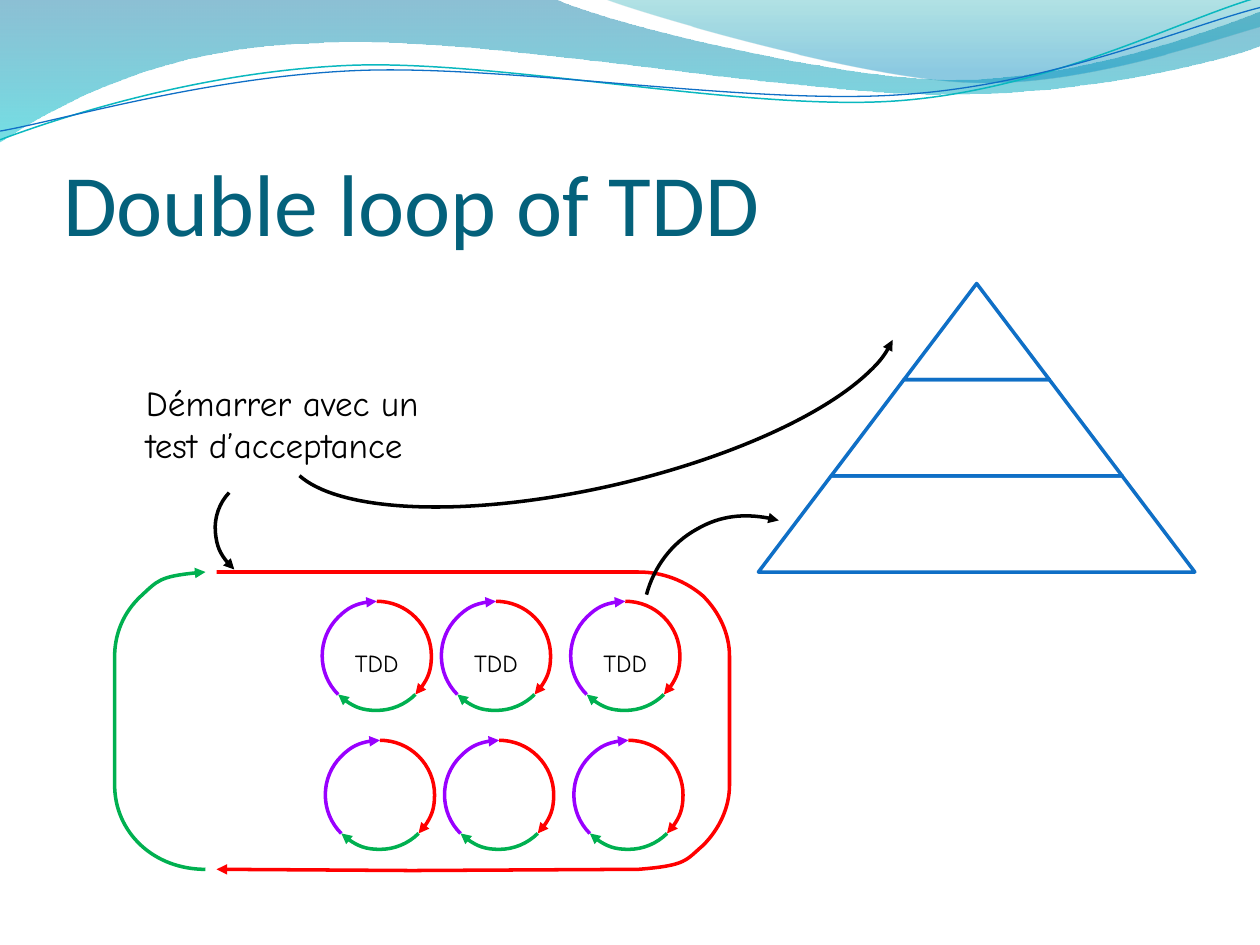
from math import cos, radians, sin, tan

from lxml import etree
from pptx import Presentation
from pptx.dml.color import RGBColor
from pptx.enum.shapes import MSO_SHAPE
from pptx.enum.text import MSO_ANCHOR, PP_ALIGN
from pptx.oxml.ns import qn
from pptx.util import Pt

ARC, TRAPEZOID = MSO_SHAPE.ARC, MSO_SHAPE.TRAPEZOID
BOTTOM, LEFT, CENTER = MSO_ANCHOR.BOTTOM, PP_ALIGN.LEFT, PP_ALIGN.CENTER

RED = RGBColor(0xFF, 0x00, 0x00)
GREEN = RGBColor(0x00, 0xB0, 0x50)
PURPLE = RGBColor(0x99, 0x00, 0xFF)
BLACK = RGBColor(0x00, 0x00, 0x00)
BLUE = RGBColor(0x0F, 0x6F, 0xC6)
TEAL = RGBColor(0x0A, 0xB8, 0xBF)
TITLE_BLUE = RGBColor(0x04, 0x61, 0x7B)
DEEP_BLUE = RGBColor(0x00, 0x74, 0xA1)
AQUA = RGBColor(0x00, 0xC6, 0xCF)
SEA_GREEN = RGBColor(0x00, 0xA1, 0xA9)
SKY_BLUE = RGBColor(0x00, 0x8B, 0xBF)

STROKE = 2


def add_outline(slide, left, top, steps, close=False):
    """Draw steps: (x, y) is a line, six numbers are a Bézier curve."""
    corners = [(Pt(left + x), Pt(top + y))
               for step in steps for x, y in zip(step[::2], step[1::2])]
    builder = slide.shapes.build_freeform(*corners[0], scale=1.0)
    builder.add_line_segments(corners[1:], close=close)
    outline = builder.convert_to_shape()
    outline.shadow.inherit = False
    # Join the three lines of each curve step into one Bézier segment
    lines = iter(list(outline.element.iter(qn("a:lnTo"))))
    for step in steps[1:]:
        segment = [next(lines) for _ in range(len(step) // 2)]
        if len(segment) == 3:
            curve = etree.Element(qn("a:cubicBezTo"))
            segment[0].addprevious(curve)
            for line in segment:
                curve.append(line[0])
                line.getparent().remove(line)
    return outline


def style_line(shape, color, width=STROKE, arrow=False):
    shape.fill.background()
    shape.line.color.rgb = color
    shape.line.width = Pt(width)
    if arrow:
        tail = etree.SubElement(shape.element.spPr.find(qn("a:ln")), qn("a:tailEnd"))
        tail.set("type", "triangle")


def add_curve(slide, left, top, steps, color, width=STROKE, arrow=True):
    style_line(add_outline(slide, left, top, steps), color, width, arrow)


def add_label(slide, left, top, width, height, text, size, align=LEFT):
    frame = slide.shapes.add_textbox(
        Pt(left), Pt(top), Pt(width), Pt(height)).text_frame
    frame.word_wrap = True
    frame.text = text
    paragraph = frame.paragraphs[0]
    paragraph.alignment = align
    font = paragraph.runs[0].font
    font.name, font.size, font.color.rgb = "Comic Neue", Pt(size), BLACK


def add_wave(slide, left, top, steps, stops):
    wave = add_outline(slide, left, top, steps, close=True)
    wave.line.fill.background()
    wave.fill.gradient()
    wave.fill.gradient_angle = 270
    for stop, (position, color, _) in zip(wave.fill.gradient_stops, stops):
        stop.position = position
        stop.color.rgb = color
    for rgb, (_, _, opacity) in zip(wave.element.iter(qn("a:srgbClr")), stops):
        etree.SubElement(rgb, qn("a:alpha")).set("val", str(opacity * 1000))


def add_header(slide, left, top):
    # Translucent waves
    add_wave(slide, left, top, [
        (0, 0), (316.8, -0.7),
        (342.7, 12.2, 478.1, 45.4, 545.8, 45.4),
        (614.2, 45.4, 689.8, 18.7, 720, 6.5), (720.7, 25.9),
        (707.8, 31.7, 626.4, 54.7, 537.1, 54),
        (447.8, 54, 275, 20.2, 185, 24.5),
        (92.2, 25.9, 33.1, 59.8, -0.7, 81.4),
    ], [(0, DEEP_BLUE, 45), (1, AQUA, 55)])
    add_wave(slide, left, top, [
        (344.9, -0.7),
        (366.5, 7.9, 491, 44.6, 553.7, 46.8),
        (616.3, 49.7, 691.9, 23, 720, 15.1), (720, 0),
    ], [(0, SEA_GREEN, 30), (0.8, SKY_BLUE, 45)])
    # Thin lines below the waves
    add_curve(slide, left, top, [
        (0, 79.9), (34.6, 67, 113.8, 41, 199.4, 37.4),
        (284.4, 33.8, 427, 64.1, 513.4, 57.6),
        (599.8, 51.1, 675.4, 10.8, 718.6, -1.4),
    ], TEAL, 0.85, arrow=False)
    add_curve(slide, left, top, [
        (0, 74.9), (33.8, 69.1, 118.1, 43.9, 203.8, 40.3),
        (290.2, 36.7, 429.8, 60.5, 516.2, 54),
        (601.9, 48.2, 677.5, 15.1, 720, 4.3),
    ], BLUE, 0.75, arrow=False)


def fill_title(slide, left, top, width, height):
    title = slide.shapes.title
    title.left, title.top = Pt(left), Pt(top)
    title.width, title.height = Pt(width), Pt(height)
    frame = title.text_frame
    frame.text = "Double loop of TDD"
    frame.vertical_anchor = BOTTOM
    frame.margin_left = frame.margin_right = frame.margin_bottom = 0
    frame.margin_top = Pt(3.6)
    paragraph = frame.paragraphs[0]
    paragraph.alignment = LEFT
    font = paragraph.runs[0].font
    font.name, font.size, font.color.rgb = "Calibri", Pt(50), TITLE_BLUE


def add_outer_loop(slide, left, top):
    add_curve(slide, left, top, [
        (58.3, 0), (299.5, 0),
        (313.2, 0, 326.2, 5, 336.3, 13.7),
        (345.6, 23, 351.4, 35.3, 351.4, 48.2), (351.4, 121.7),
        (351.4, 134.6, 345.6, 146.9, 336.3, 156.2),
        (326.2, 164.9, 326.9, 167.7, 299.5, 169.9),
        (169.9, 170.6), (58.3, 169.9),
    ], RED)
    add_curve(slide, left, top, [
        (51.9, 169.9), (37.5, 169.9, 24.5, 164.9, 15.1, 156.2),
        (5.1, 146.9, 0, 134.6, 0, 121.7), (0, 48.2),
        (0, 35.3, 5.1, 23, 15.1, 13.7),
        (24.5, 5, 25.9, 2.1, 51.9, 0),
    ], GREEN)


def circle_steps(radius, start, end, sweep=45):
    """Bézier steps along a circle, clockwise, one for each sweep of degrees."""
    def point(angle, pull=0):
        c, s = cos(radians(angle)), sin(radians(angle))
        return radius * (1 + c - pull * s), radius * (1 + s + pull * c)

    pull = 4 / 3 * tan(radians(sweep / 4))
    return [point(start)] + [
        point(angle, pull) + point(angle + sweep, -pull) + point(angle + sweep)
        for angle in range(start, end, sweep)]


def add_tdd_cycle(slide, left, top, size, text=None):
    for color, start, end in ((RED, -90, 45), (PURPLE, 135, 270), (GREEN, 45, 135)):
        add_curve(slide, left, top, circle_steps(size / 2, start, end), color)
    if text:
        add_label(slide, left + size / 2 - 25.6, top + 22.9, 51.2, 24.5,
                  text, 14, CENTER)


def add_pyramid(slide, left, top, width, height, tiers=3):
    tier_height, step = height / tiers, width / tiers
    for tier in range(tiers):
        tier_width = step * (tier + 1)
        level = slide.shapes.add_shape(
            TRAPEZOID, Pt(left + (width - tier_width) / 2),
            Pt(top + tier * tier_height), Pt(tier_width), Pt(tier_height))
        level.adjustments[0] = step / 2 / tier_height
        level.shadow.inherit = False
        style_line(level, BLUE)


def add_acceptance_arc(slide, left, top, width, height):
    arc = slide.shapes.add_shape(ARC, Pt(left), Pt(top), Pt(width), Pt(height))
    arc.adjustments[0], arc.adjustments[1] = 110.64, 213.35
    arc.rotation = 347.1
    arc.element.spPr.find(qn("a:xfrm")).set("flipV", "1")
    arc.shadow.inherit = False
    style_line(arc, BLACK, arrow=True)


def main():
    deck = Presentation()
    deck.slide_width, deck.slide_height = Pt(720), Pt(540)
    slide = deck.slides.add_slide(deck.slide_layouts[5])

    add_header(slide, 0, 0)
    fill_title(slide, 36, 55.4, 648, 90)
    add_outer_loop(slide, 65.5, 326.9)

    # Two rows of inner cycles, the lower one shifted and unlabelled
    for top, shift, text in ((343.6, 0, "TDD"), (423, 1.8, None)):
        for left in (184.1, 252.2, 326.1):
            add_tdd_cycle(slide, left + shift, top, 62.4, text)

    add_label(slide, 76.3, 214.6, 193, 55.4,
              "Démarrer avec un test d’acceptance", 20)
    add_pyramid(slide, 433.4, 162, 249.4, 164.9)

    # Arrows from the note to the loop and the pyramid, and from a cycle
    add_curve(slide, 123, 281.5, [
        (8, 0), (2.3, 5.8, -0.6, 14.4, 0.1, 22.3),
        (0.8, 31, 4.4, 38.2, 10.9, 43.9)], BLACK)
    add_acceptance_arc(slide, 159.1, 161.3, 357.1, 117.4)
    add_curve(slide, 369.4, 293, [
        (0, 46.8), (4.3, 31, 14.4, 17.3, 28.8, 9.4),
        (42.4, 1.5, 59.7, 0, 75.6, 4.4)], BLACK)

    deck.save("out.pptx")


if __name__ == "__main__":
    main()
